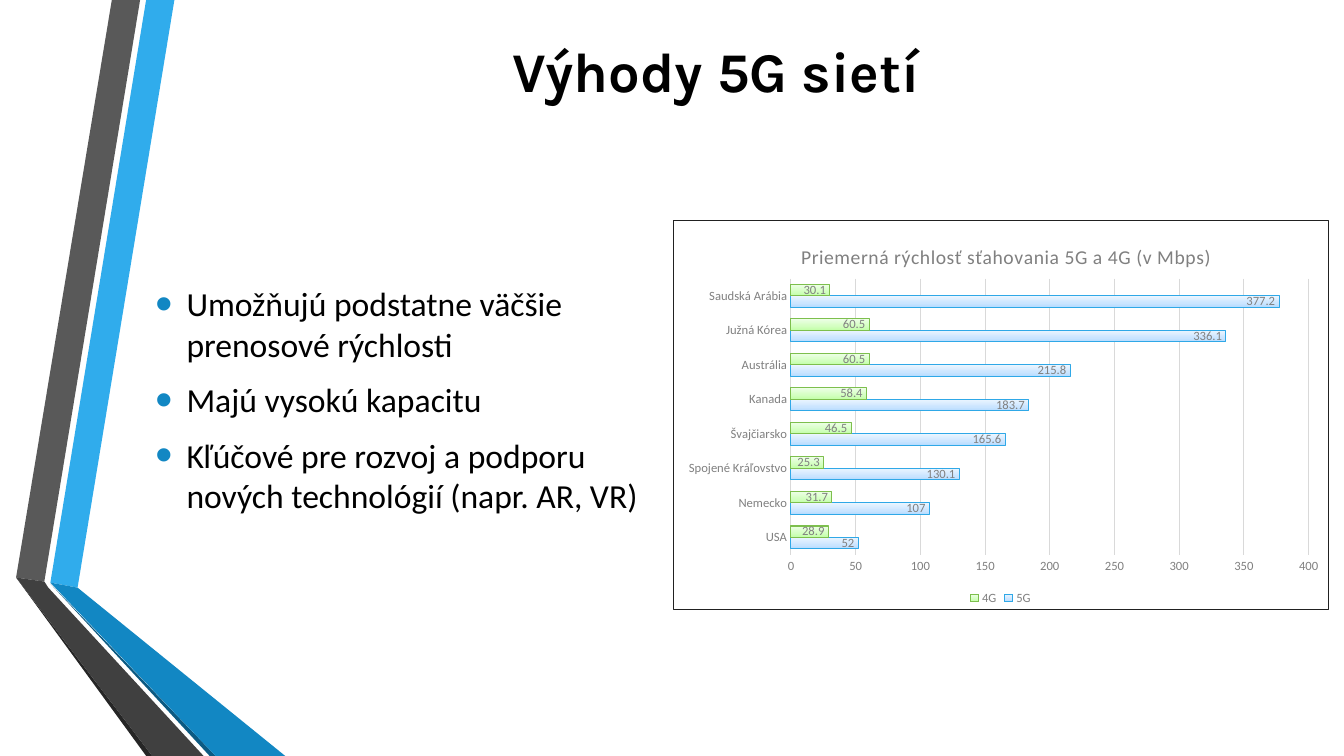
import pptx
import pptx.util
import pptx.chart.data
import pptx.dml.color
import pptx.enum.chart
import pptx.enum.text
import pptx.oxml
import pptx.oxml.ns
from lxml import etree

Inches, Pt = pptx.util.Inches, pptx.util.Pt
qn = pptx.oxml.ns.qn

COLORS = {
    "black": "000000", "bullet": "1287C3", "gray": "808080", "grid": "D9D9D9",
    "border": "212121", "blue line": "2FA8E7", "green line": "7DBF4D",
}


def rgb(name):
    """Look a colour up by name, or take the hex string itself."""
    return pptx.dml.color.RGBColor.from_string(COLORS.get(name, name))


def set_font(font, name, size, color, bold=False):
    formats = {"name": name, "size": Pt(size), "bold": bold}
    for attribute, value in formats.items():
        setattr(font, attribute, value)
    font.color.rgb = rgb(color)


presentation = pptx.Presentation()
presentation.slide_width = Inches(13.33)
presentation.slide_height = Inches(7.5)
slide = presentation.slides.add_slide(presentation.slide_layouts[1])
title, body = slide.placeholders

# Folded ribbons along the left edge, behind the text
ribbons = [
    ("30ACEC", [(0.5, 5.78), (0.77, 5.83), (1.73, 0), (1.45, 0)]),
    ("595959", [(1.39, 0), (1.11, 0), (0.16, 5.73), (0.44, 5.77)]),
    ("262626", [(0.16, 5.73), (1.45, 7.5), (1.51, 7.5)]),
    ("0C5A82", [(0.5, 5.79), (2.08, 7.5), (2.14, 7.5)]),
    ("1287C3", [(0.5, 5.78), (2.14, 7.5), (2.83, 7.5), (0.77, 5.83)]),
    ("404040", [(2.02, 7.5), (0.48, 5.83), (0.44, 5.77), (0.16, 5.73), (1.51, 7.5)]),
]
for position, (color, points) in enumerate(ribbons, start=2):
    corners = [(Inches(x), Inches(y)) for x, y in points]
    builder = slide.shapes.build_freeform(*corners[0])
    builder.add_line_segments(corners[1:], close=True)
    shape = builder.convert_to_shape()
    shape.shadow.inherit = False
    shape.fill.solid()
    shape.fill.fore_color.rgb = rgb(color)
    shape.line.fill.background()
    slide.shapes._spTree.insert(position, shape._element)

# Title and list
boxes = [(title, (1.62, 0, 10.96, 1.39)), (body, (1.44, 2.64, 5.42, 3.42))]
for placeholder, box in boxes:
    for side, length in zip(("left", "top", "width", "height"), box):
        setattr(placeholder, side, Inches(length))
    placeholder.text_frame.word_wrap = True
    placeholder.text_frame.auto_size = pptx.enum.text.MSO_AUTO_SIZE.NONE
    placeholder.text_frame.vertical_anchor = pptx.enum.text.MSO_ANCHOR.MIDDLE

title.text_frame.text = "Výhody 5G sietí"
heading = title.text_frame.paragraphs[0]
heading.alignment = pptx.enum.text.PP_ALIGN.CENTER
set_font(heading.runs[0].font, "Karla", 40, "black", bold=True)

benefits = [
    "Umožňujú podstatne väčšie prenosové rýchlosti",
    "Majú vysokú kapacitu",
    "Kľúčové pre rozvoj a podporu nových technológií (napr. AR, VR)",
]
body.text_frame.margin_bottom = Inches(0.83)
body.text_frame.text = "\n".join(benefits)
for index, paragraph in enumerate(body.text_frame.paragraphs):
    properties = paragraph._p.get_or_add_pPr()
    properties.set("marL", str(Inches(0.31)))
    properties.set("indent", str(-Inches(0.31)))
    bullet_color = etree.SubElement(properties, qn("a:buClr"))
    etree.SubElement(bullet_color, qn("a:srgbClr"), val=COLORS["bullet"])
    etree.SubElement(properties, qn("a:buSzPct"), val="145000")
    etree.SubElement(properties, qn("a:buFont"), typeface="Arial")
    etree.SubElement(properties, qn("a:buChar"), char="•")
    paragraph.space_before = Pt(4.8 if index else 0)
    paragraph.space_after = Pt(6)
    set_font(paragraph.runs[0].font, "Calibri", 24, "black")

# Chart
chart_data = pptx.chart.data.CategoryChartData()
chart_data.categories = [
    "USA", "Nemecko", "Spojené Kráľovstvo", "Švajčiarsko",
    "Kanada", "Austrália", "Južná Kórea", "Saudská Arábia",
]
chart_data.add_series("5G", [52, 107, 130.1, 165.6, 183.7, 215.8, 336.1, 377.2])
chart_data.add_series("4G", [28.9, 31.7, 25.3, 46.5, 58.4, 60.5, 60.5, 30.1])
chart = slide.shapes.add_chart(
    pptx.enum.chart.XL_CHART_TYPE.BAR_CLUSTERED,
    Inches(6.67), Inches(2.18), Inches(6.51), Inches(3.87), chart_data,
).chart
set_font(chart.font, "Calibri", 10, "black")

chart.has_title = True
chart.chart_title.text_frame.text = "Priemerná rýchlosť sťahovania 5G a 4G (v Mbps)"
title_run = chart.chart_title.text_frame.paragraphs[0].runs[0]
set_font(title_run.font, "Calibri", 14, "gray")
title_run._r.get_or_add_rPr().set("spc", "30")

chart.has_legend = True
chart.legend.position = pptx.enum.chart.XL_LEGEND_POSITION.BOTTOM
chart.legend.include_in_layout = False
set_font(chart.legend.font, "Calibri", 9, "gray")

for axis in (chart.category_axis, chart.value_axis):
    axis.major_tick_mark = pptx.enum.chart.XL_TICK_MARK.NONE
    axis.minor_tick_mark = pptx.enum.chart.XL_TICK_MARK.NONE
    set_font(axis.tick_labels.font, "Calibri", 9, "gray")
chart.value_axis.minimum_scale = 0
chart.value_axis.maximum_scale = 400
chart.value_axis.major_unit = 50
chart.value_axis.format.line.fill.background()
for line in (chart.category_axis.format.line, chart.value_axis.major_gridlines.format.line):
    line.color.rgb = rgb("grid")
    line.width = Pt(0.75)

plot = chart.plots[0]
plot.gap_width = 100
plot.overlap = 0
plot.vary_by_categories = False
series_styles = [
    ("blue line", ["B5DBFF", "CBE5FF", "EBF5FF"]),
    ("green line", ["C2FFA7", "D3FFC0", "EEFFE7"]),
]
for series, (line_color, gradient) in zip(plot.series, series_styles):
    series.invert_if_negative = False
    series.format.fill.gradient()
    series.format.fill.gradient_angle = 90
    stops = series._element.find(".//" + qn("a:gsLst"))
    for stop in list(stops):
        stops.remove(stop)
    for percent, color in zip((0, 35, 100), gradient):
        stop = etree.SubElement(stops, qn("a:gs"), pos=str(percent * 1000))
        etree.SubElement(stop, qn("a:srgbClr"), val=color)
    series.format.line.color.rgb = rgb(line_color)
    series.format.line.width = Pt(0.75)
    labels = series.data_labels
    labels.show_value = True
    labels.position = pptx.enum.chart.XL_LABEL_POSITION.INSIDE_END
    set_font(labels.font, "Calibri", 9, "gray")

# Places of the chart title and plot area, as fractions of the chart
chart_root = chart._chartSpace
layouts = [
    ("c:title", {"xMode": "edge", "yMode": "edge", "x": 0.19, "y": 0.05}),
    ("c:plotArea", {"layoutTarget": "inner", "xMode": "edge", "yMode": "edge",
                    "x": 0.18, "y": 0.15, "w": 0.79, "h": 0.71}),
]
for tag, settings in layouts:
    part = chart_root.find(qn("c:chart")).find(qn(tag))
    for old_layout in part.findall(qn("c:layout")):
        part.remove(old_layout)
    layout = etree.Element(qn("c:layout"))
    manual = etree.SubElement(layout, qn("c:manualLayout"))
    for name, value in settings.items():
        etree.SubElement(manual, qn("c:" + name), val=str(value))
    part.insert(1 if tag == "c:title" else 0, layout)

frame = pptx.oxml.parse_xml(
    '<c:spPr xmlns:c="http://schemas.openxmlformats.org/drawingml/2006/chart"'
    ' xmlns:a="http://schemas.openxmlformats.org/drawingml/2006/main">'
    '<a:solidFill><a:srgbClr val="FFFFFF"/></a:solidFill>'
    f'<a:ln w="{Pt(0.75)}"><a:solidFill><a:srgbClr val="{COLORS["border"]}"/>'
    '</a:solidFill></a:ln></c:spPr>'
)
chart_root.find(qn("c:chart")).addnext(frame)

presentation.save("out.pptx")
